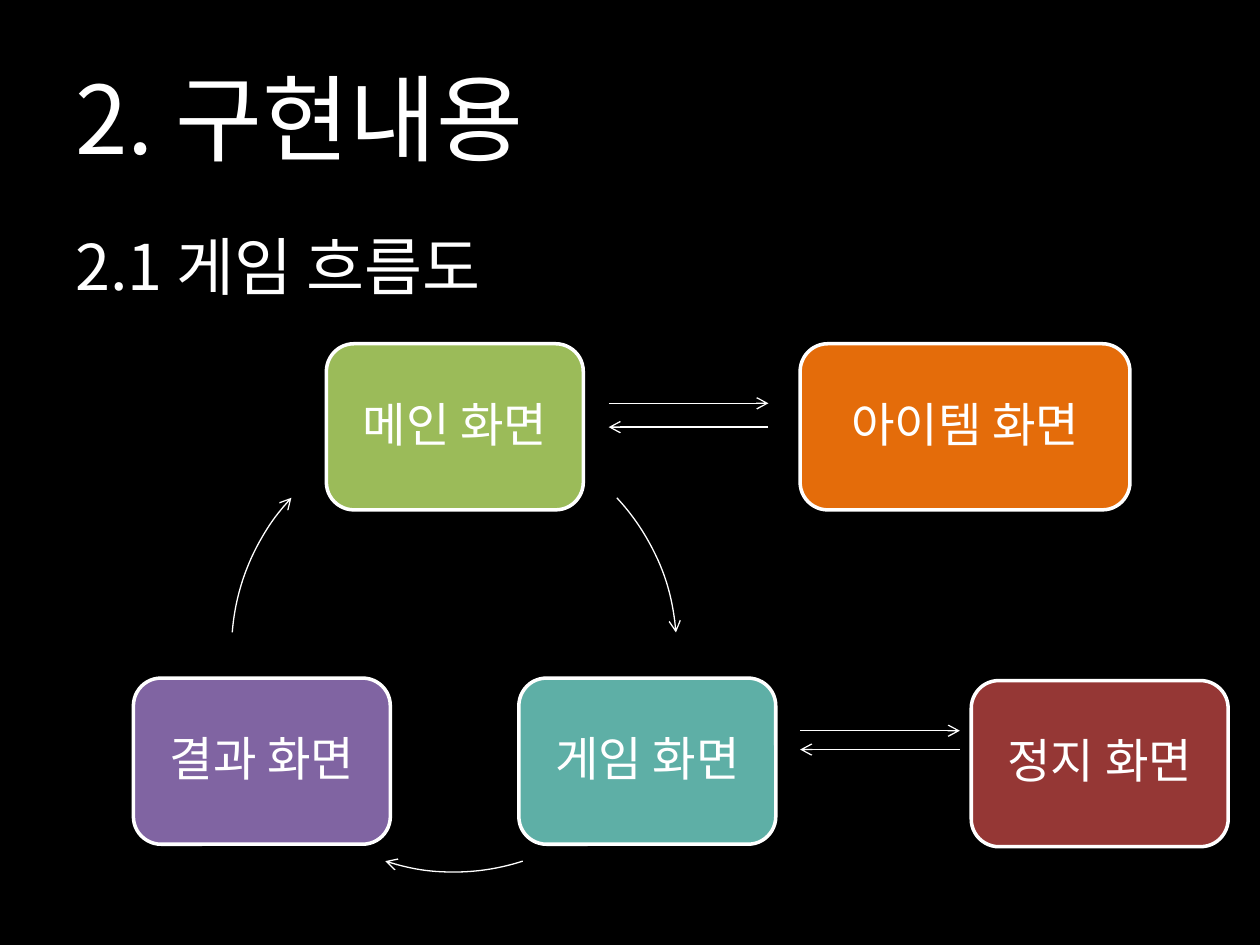
from lxml.etree import SubElement
from pptx import Presentation
from pptx.dml.color import RGBColor
from pptx.enum.shapes import MSO_CONNECTOR, MSO_SHAPE
from pptx.enum.text import MSO_ANCHOR, PP_ALIGN
from pptx.oxml.ns import qn
from pptx.util import Cm, Pt

FONT = "Noto Sans CJK KR"
BLACK = RGBColor(0x00, 0x00, 0x00)
WHITE = RGBColor(0xFF, 0xFF, 0xFF)
GREEN = RGBColor(0x9B, 0xBB, 0x59)
TEAL = RGBColor(0x5E, 0xAF, 0xA6)
PURPLE = RGBColor(0x80, 0x64, 0xA2)
ORANGE = RGBColor(0xE4, 0x6C, 0x0A)
RED = RGBColor(0x95, 0x37, 0x35)

TITLE = "2. 구현내용"
SUBTITLE = "2.1 게임 흐름도"

# Lengths are centimetres.
BOX_HEIGHT = 3.35
SCREENS = [  # text, left, top, width, fill
    ("메인 화면", 6.58, 6.93, 5.18, GREEN),
    ("게임 화면", 10.46, 13.67, 5.18, TEAL),
    ("결과 화면", 2.69, 13.67, 5.18, PURPLE),
    ("아이템 화면", 16.13, 6.93, 6.65, ORANGE),
    ("정지 화면", 19.58, 13.72, 5.18, RED),
]
CYCLE_LEFT, CYCLE_TOP, CYCLE_SIZE = 4.67, 8.61, 8.97
CYCLE_ARCS = [(317, 355.6), (72, 108), (184.4, 223)]  # clockwise degrees
ARROW_LENGTH = 3.22
ARROW_PAIRS = [  # left, y of the way out, y of the way back
    (12.27, 8.13, 8.61),
    (16.13, 14.73, 15.11),
]


def write_text(shape, text, size, align=PP_ALIGN.LEFT, anchor=MSO_ANCHOR.TOP,
               margin=0.25, line_spacing=None):
    """Put one formatted paragraph into a shape and return it."""
    frame = shape.text_frame
    frame.word_wrap = True
    frame.vertical_anchor = anchor
    frame.margin_left = frame.margin_right = Cm(margin)
    paragraph = frame.paragraphs[0]
    paragraph.alignment = align
    if line_spacing:
        paragraph.line_spacing = line_spacing
    run = paragraph.add_run()
    run.text = text
    run.font.size = Pt(size)
    run.font.name = FONT
    run.font.color.rgb = WHITE
    SubElement(run.font._element, qn("a:ea"), typeface=FONT)
    return paragraph


def place(shape, left, top, width, height):
    """Move and size a placeholder."""
    shape.left, shape.top = Cm(left), Cm(top)
    shape.width, shape.height = Cm(width), Cm(height)


def add_screen(slide, text, left, top, width, fill):
    """Add one rounded box of the flow chart."""
    box = slide.shapes.add_shape(MSO_SHAPE.ROUNDED_RECTANGLE, Cm(left),
                                 Cm(top), Cm(width), Cm(BOX_HEIGHT))
    box.shadow.inherit = False
    box.fill.solid()
    box.fill.fore_color.rgb = fill
    box.line.color.rgb = WHITE
    box.line.width = Pt(2)
    write_text(box, text, 27, align=PP_ALIGN.CENTER, anchor=MSO_ANCHOR.MIDDLE,
               margin=0.28, line_spacing=0.9)


def style_arrow(shape):
    """Draw a thin white line with an open arrowhead at its end."""
    shape.line.color.rgb = WHITE
    shape.line.width = Pt(0.75)
    SubElement(shape.line._get_or_add_ln(), qn("a:tailEnd"), type="arrow")


def add_arc(slide, start, end):
    """Add a curved arrow on the circle of the game cycle."""
    arc = slide.shapes.add_shape(MSO_SHAPE.ARC, Cm(CYCLE_LEFT), Cm(CYCLE_TOP),
                                 Cm(CYCLE_SIZE), Cm(CYCLE_SIZE))
    arc.shadow.inherit = False
    arc.fill.background()
    for index, degrees in enumerate((start, end)):
        arc.adjustments[index] = degrees * 60000 / 100000
    style_arrow(arc)


def add_arrow(slide, start, end, y):
    """Add a horizontal arrow."""
    arrow = slide.shapes.add_connector(MSO_CONNECTOR.STRAIGHT, Cm(start),
                                       Cm(y), Cm(end), Cm(y))
    style_arrow(arrow)
    SubElement(arrow._element.spPr, qn("a:effectLst"))


presentation = Presentation()
presentation.slide_width, presentation.slide_height = Cm(25.4), Cm(19.05)
slide = presentation.slides.add_slide(presentation.slide_layouts[1])
slide.background.fill.solid()
slide.background.fill.fore_color.rgb = BLACK

title, body = slide.placeholders
place(title, 1.27, 0.76, 22.86, 3.18)
write_text(title, TITLE, 54, anchor=MSO_ANCHOR.MIDDLE)
place(body, 1.27, 4.45, 22.86, 12.57)
properties = write_text(body, SUBTITLE, 36)._p.get_or_add_pPr()
properties.set("marL", "0")
properties.set("indent", "0")
SubElement(properties, qn("a:buNone"))

for screen in SCREENS:
    add_screen(slide, *screen)
for start, end in CYCLE_ARCS:
    add_arc(slide, start, end)
for left, out_y, back_y in ARROW_PAIRS:
    right = left + ARROW_LENGTH
    add_arrow(slide, left, right, out_y)
    add_arrow(slide, right, left, back_y)

presentation.save("out.pptx")
